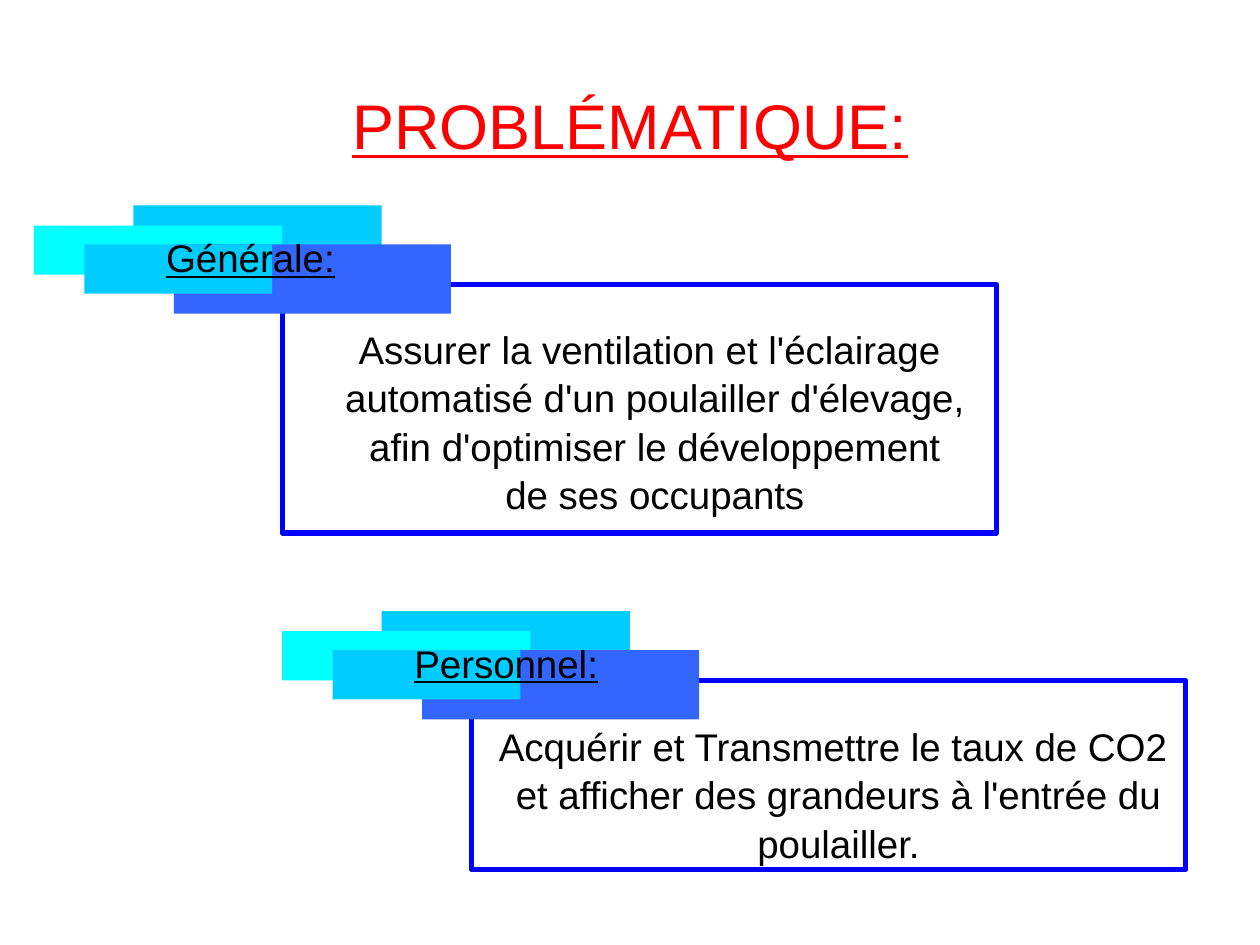
from pptx import Presentation
from pptx.dml.color import RGBColor
from pptx.enum.shapes import MSO_SHAPE
from pptx.enum.text import PP_ALIGN
from pptx.util import Inches, Pt

COLORS = {
    "title": "FF0000", "text": "000000", "frame": "0000FF",
    "sky": "00CCFF", "cyan": "00FFFF", "royal": "3366FF",
}
TITLE = "PROBLÉMATIQUE:"
FRAME_WIDTH = 5.67
SECTIONS = [
    {
        "label": "Générale:", "label_width": 1.57, "banner": (0.27, 1.63),
        "frame": (2.24, 2.26), "frame_height": 1.97,
        "text_top": 2.52, "text_height": 1.57,
        "lines": [
            "Assurer la ventilation et l'éclairage",
            " automatisé d'un poulailler d'élevage,",
            " afin d'optimiser le développement",
            " de ses occupants",
        ],
    },
    {
        "label": "Personnel:", "label_width": 1.73, "banner": (2.24, 4.85),
        "frame": (3.74, 5.4), "frame_height": 1.5,
        "text_top": 5.67, "text_height": 1.2,
        "lines": [
            "Acquérir et Transmettre le taux de CO2 ",
            "et afficher des grandeurs à l'entrée du poulailler.",
        ],
    },
]
# Banner bars, back to front: offset from the banner corner, size, colour
BARS = [
    (0.79, 0, 1.97, 0.55, "sky"),
    (0, 0.16, 1.97, 0.39, "cyan"),
    (1.11, 0.31, 2.2, 0.55, "royal"),
    (0.4, 0.31, 1.49, 0.39, "sky"),
]
LABEL_OFFSET = (0.95, 0.16)


def color(name):
    return RGBColor.from_string(COLORS[name])


def add_rectangle(page, left, top, width, height, fill=None, line=None):
    shape = page.shapes.add_shape(
        MSO_SHAPE.RECTANGLE, *map(Inches, (left, top, width, height)))
    shape.shadow.inherit = False
    if fill:
        shape.fill.solid()
        shape.fill.fore_color.rgb = color(fill)
    else:
        shape.fill.background()
    if line:
        shape.line.color.rgb = color(line)
        shape.line.width = Pt(3)
    else:
        shape.line.fill.background()


def add_text(page, left, top, width, height, lines, align=PP_ALIGN.CENTER,
             tint="text", **font_format):
    box = page.shapes.add_textbox(*map(Inches, (left, top, width, height)))
    frame = box.text_frame
    frame.word_wrap = True
    for index, line in enumerate(lines):
        para = frame.add_paragraph() if index else frame.paragraphs[0]
        para.alignment = align
        para.line_spacing = 1.05
        span = para.add_run()
        span.text = line
        for name, value in {"name": "Arial", "size": Pt(22), **font_format}.items():
            setattr(span.font, name, value)
        span.font.color.rgb = color(tint)


def add_section(page, section):
    left, top = section["frame"]
    add_rectangle(page, left, top, FRAME_WIDTH, section["frame_height"], line="frame")
    add_text(page, left + 0.08, section["text_top"], FRAME_WIDTH,
             section["text_height"], section["lines"])

    left, top = section["banner"]
    for dx, dy, width, height, fill in BARS:
        add_rectangle(page, left + dx, top + dy, width, height, fill=fill)
    dx, dy = LABEL_OFFSET
    add_text(page, left + dx, top + dy, section["label_width"], 0.47,
             [section["label"]], align=PP_ALIGN.LEFT, underline=True)


def main():
    deck = Presentation()
    deck.slide_width, deck.slide_height = Inches(10), Inches(7.5)
    page = deck.slides.add_slide(deck.slide_layouts[6])
    add_text(page, 0, 0.61, 10, 0.7, [TITLE], tint="title",
             size=Pt(36), underline=True)
    for section in SECTIONS:
        add_section(page, section)
    deck.save("out.pptx")


if __name__ == "__main__":
    main()
